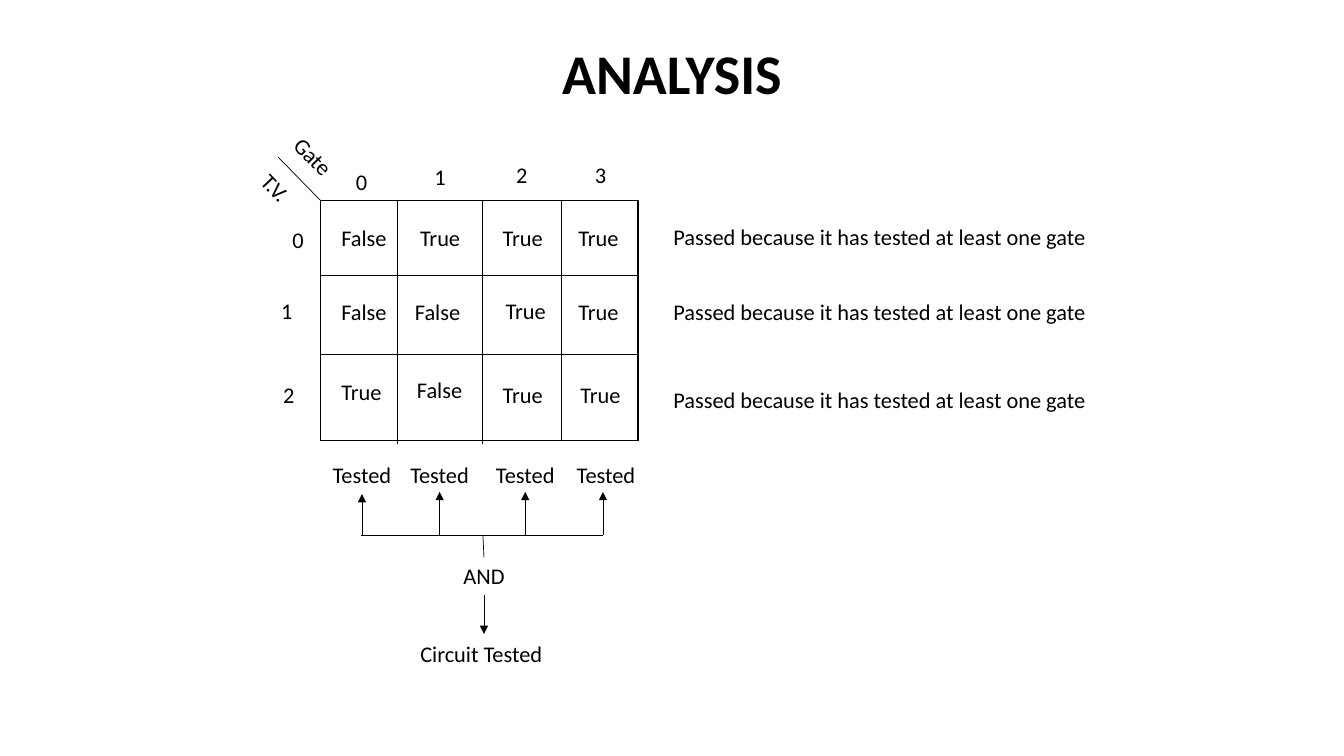
"""Build the ANALYSIS slide: a gate test matrix with its verdicts and AND flow."""
from lxml import etree
from pptx import Presentation
from pptx.dml.color import RGBColor
from pptx.enum import shapes, text
from pptx.oxml import ns
from pptx.util import Inches, Pt

BLACK = RGBColor(0x00, 0x00, 0x00)
WHITE = RGBColor(0xFF, 0xFF, 0xFF)
CENTER, LEFT = text.PP_ALIGN.CENTER, text.PP_ALIGN.LEFT

prs = Presentation()
prs.slide_width, prs.slide_height = Inches(13.33), Inches(7.5)
s = prs.slides.add_slide(prs.slide_layouts[6])


def add_text(words, x, y, w, h=0.37, align=CENTER, wrap=True, rotation=0, **font):
    sp = s.shapes.add_textbox(Inches(x), Inches(y), Inches(w), Inches(h))
    sp.rotation = rotation
    tf = sp.text_frame
    tf.word_wrap = wrap
    tf.auto_size = text.MSO_AUTO_SIZE.SHAPE_TO_FIT_TEXT
    p = tf.paragraphs[0]
    p.alignment = align
    r = p.add_run()
    r.text = words
    r.font.color.rgb = BLACK
    for key, value in {"name": "Calibri", "size": Pt(16), **font}.items():
        setattr(r.font, key, value)


def add_line(x1, y1, x2, y2, arrow=False):
    ln = s.shapes.add_connector(shapes.MSO_CONNECTOR.STRAIGHT,
                                Inches(x1), Inches(y1), Inches(x2), Inches(y2))
    ln.line.color.rgb = BLACK
    ln.line.width = Pt(0.5)
    if arrow:
        etree.SubElement(ln.line._get_or_add_ln(), ns.qn("a:tailEnd"), type="triangle")
    etree.SubElement(ln._element.spPr, ns.qn("a:effectLst"))


add_text("ANALYSIS", 2.55, 0.33, 8.23, 0.77, size=Pt(40), bold=True)

grid = s.shapes.add_shape(shapes.MSO_SHAPE.RECTANGLE,
                          Inches(3.18), Inches(1.99), Inches(3.15), Inches(2.38))
grid.shadow.inherit = False
grid.fill.solid()
grid.fill.fore_color.rgb = WHITE
grid.line.color.rgb = BLACK
grid.line.width = Pt(1)

for x, bottom in ((3.94, 4.4), (4.78, 4.4), (5.57, 4.37)):
    add_line(x, 1.99, x, bottom)
for y in (2.73, 3.52, 4.37):
    add_line(3.18, y, 6.34, y)

results = (
    (("False", 3.28, 2.17), ("True", 4.06, 2.17), ("True", 4.88, 2.17), ("True", 5.63, 2.17)),
    (("False", 3.28, 2.91), ("False", 4.01, 2.91), ("True", 4.91, 2.9), ("True", 5.63, 2.91)),
    (("True", 3.28, 3.7), ("False", 4.03, 3.68), ("True", 4.88, 3.73), ("True", 5.65, 3.73)),
)
cell_widths = {"False": 0.66, "True": 0.61}
for row in results:
    for words, x, y in row:
        add_text(words, x, y, cell_widths[words], wrap=False)

add_line(3.18, 1.99, 2.76, 1.56)
add_text("T.V.", 2.49, 1.68, 0.49, align=LEFT, wrap=False, rotation=46.6)
add_text("Gate", 2.79, 1.38, 0.66, align=LEFT, rotation=45.8)

gate_labels = ((3.37, 1.62), (4.15, 1.57), (4.96, 1.55), (5.74, 1.55))
vector_labels = ((2.74, 2.19), (2.63, 2.9), (2.65, 3.73))
for labels in (gate_labels, vector_labels):
    for number, (x, y) in enumerate(labels):
        add_text(str(number), x, y, 0.43)

for y in (2.16, 2.91, 3.78):
    add_text("Passed because it has tested at least one gate", 6.58, y, 4.32, align=LEFT)

for x in (3.16, 3.93, 4.78, 5.58):
    add_text("Tested", x, 4.53, 0.86)

add_line(3.58, 5.31, 5.98, 5.31)
for x, tip in ((3.59, 4.9), (4.36, 4.88), (5.21, 4.88), (5.98, 4.88)):
    add_line(x, 5.31, x, tip, arrow=True)

add_text("AND", 4.39, 5.53, 0.82)
add_line(4.79, 5.31, 4.8, 5.53)
add_line(4.8, 5.9, 4.8, 6.29, arrow=True)
add_text("Circuit Tested", 4.07, 6.3, 1.45, align=LEFT)

prs.save("out.pptx")
